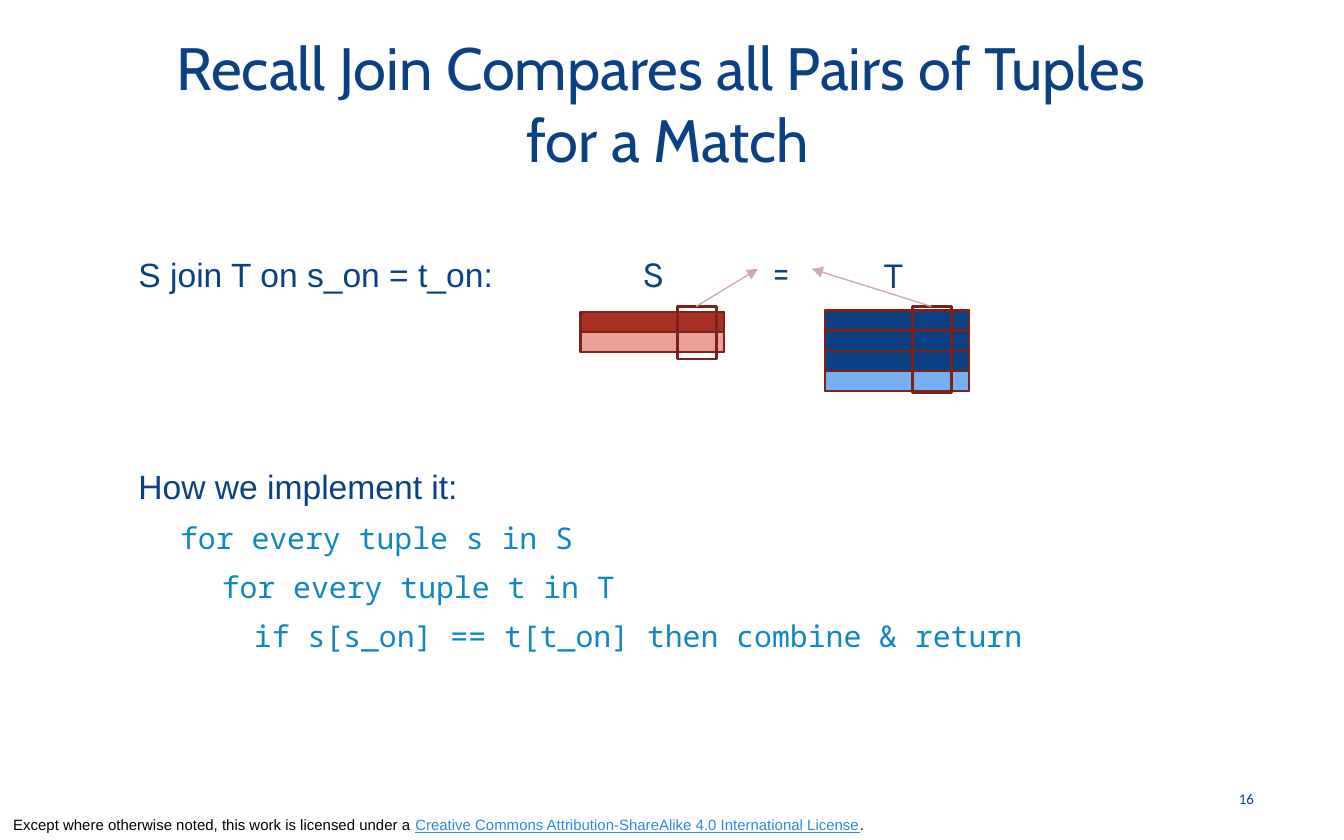
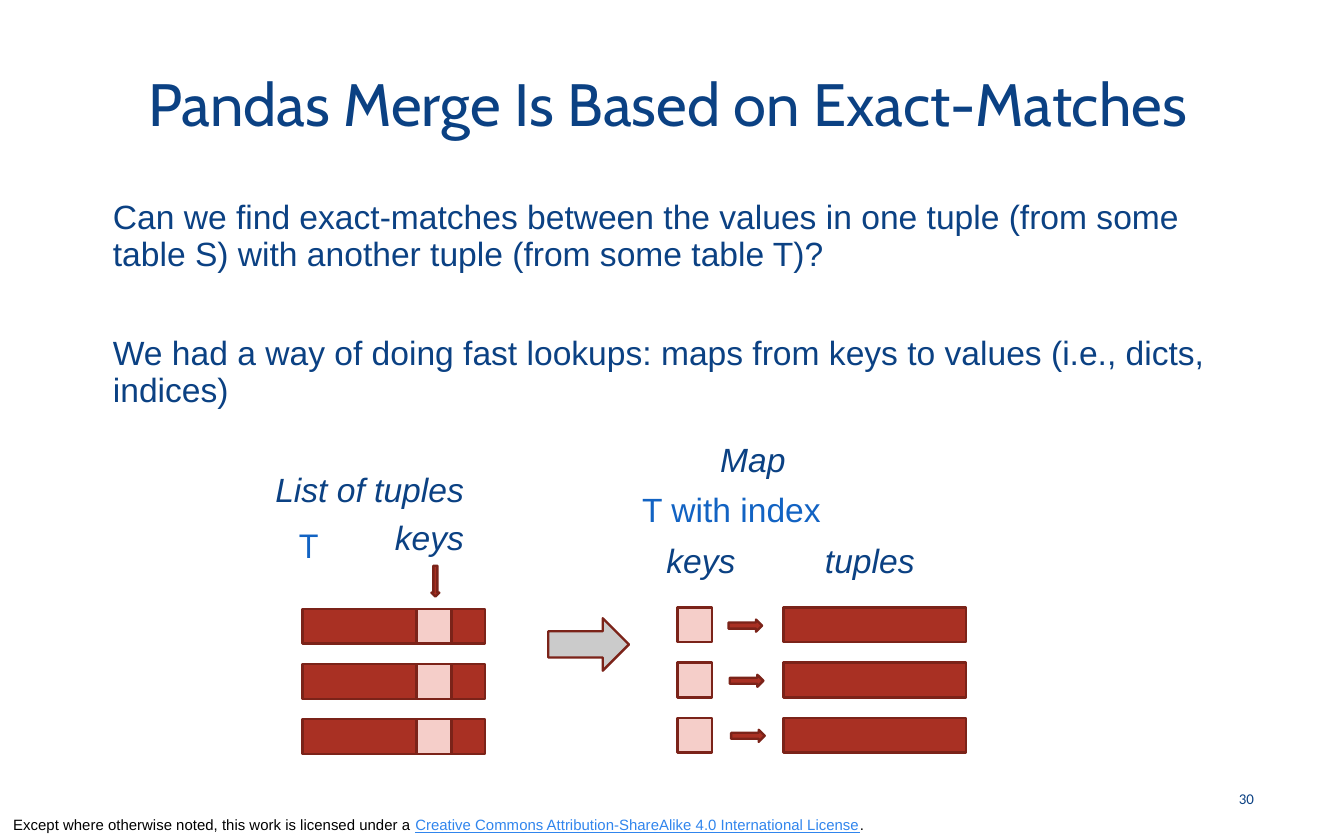
from dataclasses import dataclass

import pptx
import pptx.dml.color
import pptx.enum.shapes
import pptx.enum.text
import pptx.oxml.ns
import pptx.util
from lxml import etree
from pptx.util import Inches, Pt

COLORS = {
    "navy": "0B4183", "deep navy": "093161", "sky": "77AFF4", "blue": "1263C3",
    "code": "1186C3", "link": "3085ED", "black": "000000", "red": "A93023",
    "salmon": "EAA19A", "pink": "F5CEC9", "dark red": "7B2319",
    "rose": "D1ABAA", "gray": "CBCBCB",
}
SHAPE = pptx.enum.shapes.MSO_SHAPE
ALIGN = pptx.enum.text.PP_ALIGN
ANCHOR = pptx.enum.text.MSO_ANCHOR
AUTO_SIZE = pptx.enum.text.MSO_AUTO_SIZE
qn = pptx.oxml.ns.qn


@dataclass
class Line:
    """One paragraph of the body; indent is in inches."""
    text: str
    level: int = 0
    indent: float = 0
    before: float = 0
    spacing: float = 1.0
    size: float = 18
    font: str = "Arial"
    color: str = "navy"


@dataclass
class Label:
    text: str
    left: float
    top: float
    width: float
    height: float = 0.4
    size: float = 18
    font: str = "Arial"
    color: str = "navy"
    italic: bool = False


def rgb(name: str):
    return pptx.dml.color.RGBColor.from_string(COLORS[name])


def write(para, text: str, *, size: float = 18, font: str = "Arial",
          color: str = "navy", italic: bool = False, underline: bool = False) -> None:
    """Append text to a paragraph; a newline becomes a line break."""
    for number, piece in enumerate(text.split("\n")):
        if number:
            para.add_line_break()
            line_break = para._p.findall(qn("a:br"))[-1]
            etree.SubElement(line_break, qn("a:rPr")).set("sz", str(size * 100))
        span = para.add_run()
        span.text = piece
        span.font.size = Pt(size)
        span.font.name = font
        span.font.color.rgb = rgb(color)
        span.font.italic = italic
        span.font.underline = underline


def place(shape, left: float, top: float, width: float, height: float) -> None:
    shape.left, shape.top = Inches(left), Inches(top)
    shape.width, shape.height = Inches(width), Inches(height)


def set_frame(frame, anchor, auto_size=AUTO_SIZE.NONE) -> None:
    frame.word_wrap = True
    frame.vertical_anchor = anchor
    frame.auto_size = auto_size


def add_text(slide, left: float, top: float, width: float, height: float,
             anchor=ANCHOR.TOP, auto_size=AUTO_SIZE.NONE):
    """Add a text box and return its first paragraph."""
    box = slide.shapes.add_textbox(Inches(left), Inches(top), Inches(width), Inches(height))
    set_frame(box.text_frame, anchor, auto_size)
    return box.text_frame.paragraphs[0]


def add_label(slide, label: Label) -> None:
    para = add_text(slide, label.left, label.top, label.width, label.height,
                    auto_size=AUTO_SIZE.SHAPE_TO_FIT_TEXT)
    write(para, label.text, size=label.size, font=label.font, color=label.color,
          italic=label.italic)


def add_shape(slide, left: float, top: float, width: float, height: float,
              fill: str = "", kind=SHAPE.RECTANGLE) -> None:
    shape = slide.shapes.add_shape(kind, Inches(left), Inches(top), Inches(width), Inches(height))
    shape.shadow.inherit = False
    if fill:
        shape.fill.solid()
        shape.fill.fore_color.rgb = rgb(fill)
    else:
        shape.fill.background()
    shape.line.color.rgb = rgb("dark red")
    shape.line.width = Pt(1.25)


def add_arrow(slide, start: tuple[float, float], end: tuple[float, float]) -> None:
    arrow = slide.shapes.add_connector(
        pptx.enum.shapes.MSO_CONNECTOR.STRAIGHT,
        Inches(start[0]), Inches(start[1]), Inches(end[0]), Inches(end[1]))
    arrow.line.color.rgb = rgb("rose")
    arrow.line.width = Pt(0.75)
    etree.SubElement(arrow.line._get_or_add_ln(), qn("a:tailEnd")).set("type", "triangle")
    etree.SubElement(arrow._element.spPr, qn("a:effectLst"))


def add_table_rows(slide, left: float, top: float, fills: list[str], backing: str) -> None:
    """Draw a relation as stacked tuples over one backing rectangle."""
    width, height = 1.07, 0.15
    add_shape(slide, left, top, width, height * len(fills), backing)
    for row, fill in enumerate(fills):
        add_shape(slide, left, top + row * height, width, height, fill)


def fill_body(body, lines: list[Line]) -> None:
    set_frame(body.text_frame, ANCHOR.MIDDLE)
    for number, line in enumerate(lines):
        para = body.text_frame.add_paragraph() if number else body.text_frame.paragraphs[0]
        para.level = line.level
        para.space_before = Pt(line.before)
        para.line_spacing = line.spacing
        properties = para._p.get_or_add_pPr()
        properties.set("marL", str(Inches(line.indent)))
        properties.set("indent", "0")
        etree.SubElement(properties, qn("a:buNone"))
        write(para, line.text, size=line.size, font=line.font, color=line.color)


def start_slide(deck, title: str, number: int, body_at: tuple[float, float, float, float],
                lines: list[Line]):
    """Add a slide with its licence line, title, body and page number."""
    slide = deck.slides.add_slide(deck.slide_layouts[1])
    heading, body = slide.placeholders
    place(heading, 0.51, 0.17, 8.92, 1.19)
    set_frame(heading.text_frame, ANCHOR.MIDDLE)
    para = heading.text_frame.paragraphs[0]
    para.alignment = ALIGN.CENTER
    write(para, title, size=32, font="Cabin")

    place(body, *body_at)
    fill_body(body, lines)

    licence = add_text(slide, 0, 6.02, 7.5, 0.23, ANCHOR.BOTTOM)
    write(licence, "Except where otherwise noted, this work is licensed under a ",
          size=8, color="black")
    write(licence, "Creative Commons Attribution-ShareAlike 4.0 International License",
          size=8, color="link", underline=True)
    write(licence, ".", size=8, color="black")

    page = add_text(slide, 8.98, 5.78, 0.45, 0.33, ANCHOR.MIDDLE)
    page.alignment = ALIGN.RIGHT
    write(page, str(number), size=8, font="Calibri")
    return slide


def code_line(text: str, level: int, indent: float) -> Line:
    return Line(text, level, indent, before=7, size=16, font="Noto Sans Mono", color="code")


def build_join_slide(deck) -> None:
    slide = start_slide(
        deck, "Recall Join Compares all Pairs of Tuples \nfor a Match", 16,
        (0.93, 1.35, 8.05, 4.05), [
            Line("S join T on s_on = t_on:"),
            Line("How we implement it:", before=92),
            code_line("for every tuple s in S", 1, 0.31),
            code_line("for every tuple t in T", 2, 0.62),
            code_line("if s[s_on] == t[t_on] then combine & return", 3, 0.86),
        ])
    add_table_rows(slide, 4.32, 2.32, ["red", "salmon"], "red")
    add_table_rows(slide, 6.14, 2.31, ["navy"] * 3 + ["sky"], "deep navy")
    for text, left, top, width in [("S", 4.68, 1.81, 0.36), ("T", 6.48, 1.82, 0.36),
                                   ("=", 5.64, 1.79, 0.41)]:
        add_label(slide, Label(text, left, top, width, 0.44, size=20, font="Karla"))
    for column_left, column_height, arrow_end in [(5.04, 0.39, 5.64), (6.79, 0.64, 6.04)]:
        add_shape(slide, column_left, 2.28, 0.29, column_height)
        add_arrow(slide, (column_left + 0.14, 2.28), (arrow_end, 2))


def build_merge_slide(deck) -> None:
    slide = start_slide(
        deck, "Pandas Merge Is Based on Exact-Matches", 30, (0.74, 1.44, 8.47, 1.66), [
            Line("Can we find exact-matches between the values in one tuple (from some "
                 "table S) with another tuple (from some table T)?", spacing=0.9),
            Line("We had a way of doing fast lookups: maps from keys to values "
                 "(i.e., dicts, indices)", before=34, spacing=0.9),
        ])
    tuple_width, key_size, pitch = 1.36, 0.26, 0.41
    for row in range(3):
        list_top = 4.53 + row * pitch
        map_top = list_top - 0.01
        add_shape(slide, 2.25, list_top, tuple_width, key_size, "red")
        add_shape(slide, 3.1, list_top, key_size, key_size, "pink")
        add_shape(slide, 5.04, map_top, key_size, key_size, "pink")
        add_shape(slide, 5.42 + row * 0.01, map_top + 0.09, 0.25, 0.09, "red",
                  SHAPE.RIGHT_ARROW)
        add_shape(slide, 5.83, map_top, tuple_width, key_size, "red")
    add_shape(slide, 4.08, 4.6, 0.6, 0.39, "gray", SHAPE.RIGHT_ARROW)
    add_shape(slide, 3.21, 4.21, 0.06, 0.23, "red", SHAPE.DOWN_ARROW)
    for label in [
        Label("keys", 4.86, 3.97, 0.75, italic=True),
        Label("tuples", 6.04, 3.97, 0.94, italic=True),
        Label("T", 2.13, 3.83, 0.36, 0.44, size=20, font="Karla", color="blue"),
        Label("T with index", 4.68, 3.59, 1.73, color="blue"),
        Label("keys", 2.84, 3.8, 0.75, italic=True),
        Label("List of tuples", 1.95, 3.44, 1.78, italic=True),
        Label("Map", 5.26, 3.22, 0.72, italic=True),
    ]:
        add_label(slide, label)


def main() -> None:
    deck = pptx.Presentation()
    deck.slide_width, deck.slide_height = Inches(10), Inches(6.25)
    build_join_slide(deck)
    build_merge_slide(deck)
    deck.save("out.pptx")


if __name__ == "__main__":
    main()
